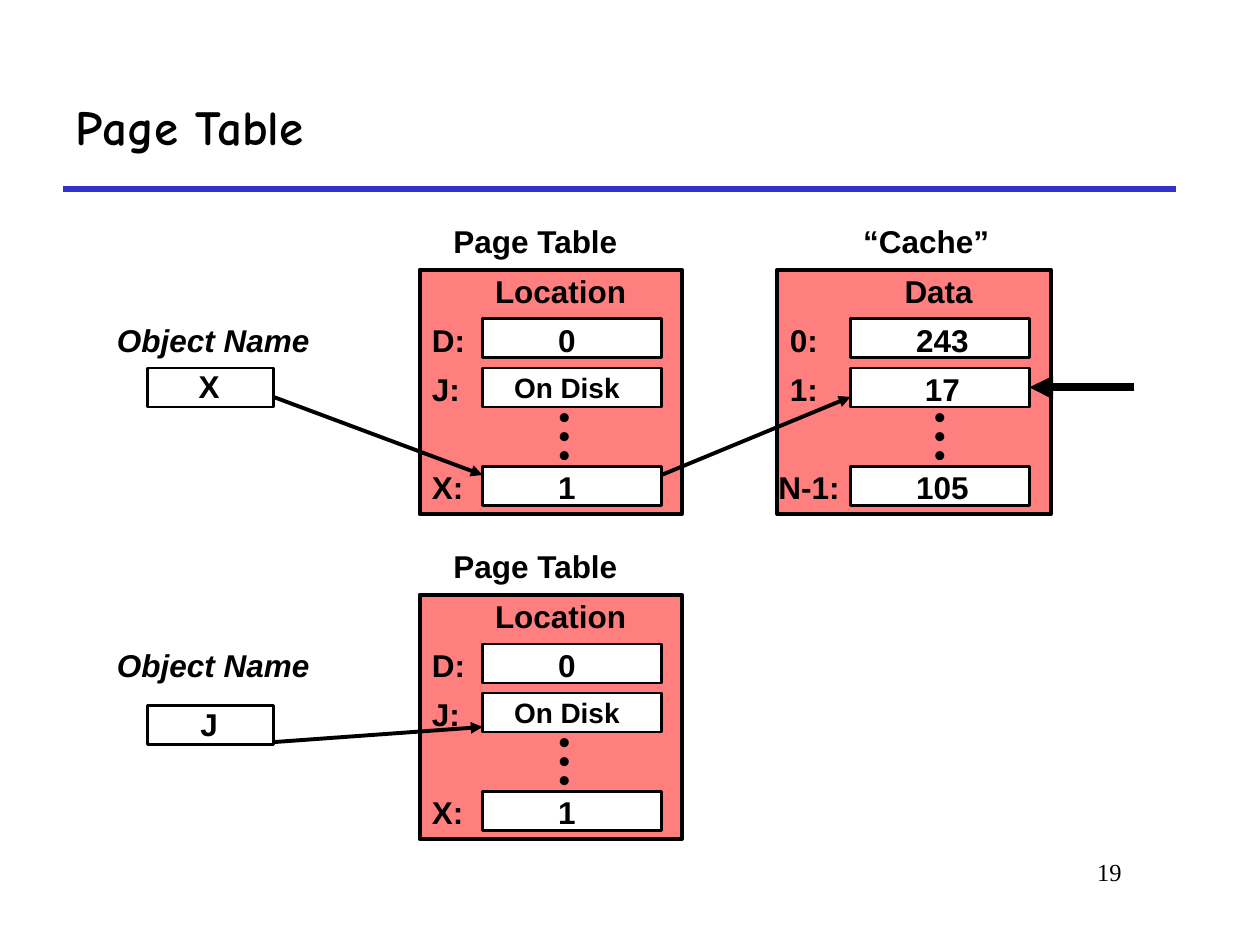
from lxml import etree
from pptx import Presentation
from pptx.dml.color import RGBColor
from pptx.enum.shapes import MSO_CONNECTOR, MSO_SHAPE
from pptx.enum.text import MSO_ANCHOR, PP_ALIGN
from pptx.oxml.ns import qn
from pptx.util import Inches, Pt

BLACK = RGBColor(0x00, 0x00, 0x00)
WHITE = RGBColor(0xFF, 0xFF, 0xFF)
RED = RGBColor(0xFF, 0x00, 0x00)
BLUE = RGBColor(0x33, 0x33, 0xCC)
LEFT, CENTER, RIGHT = PP_ALIGN.LEFT, PP_ALIGN.CENTER, PP_ALIGN.RIGHT
MIDDLE = MSO_ANCHOR.MIDDLE
RECTANGLE = MSO_SHAPE.RECTANGLE
STRAIGHT = MSO_CONNECTOR.STRAIGHT
RIGHT_SIDE = 3

ROW_PITCH = 0.39
ROWS = (1, 2, 4)  # the dots stand in row 3
TABLE_H = 1.94
CELL_W, CELL_H = 1.42, 0.31
TEXT_H = 0.37
LABEL_W = 0.5


def add_text(s, x, y, w, h, text, size=18, font="Arial", align=LEFT,
             bold=True, italic=False, spacing=0.9):
    tb = s.shapes.add_textbox(Inches(x), Inches(y), Inches(w), Inches(h))
    tf = tb.text_frame
    tf.word_wrap = True
    tf.text = text
    for p in tf.paragraphs:
        p.alignment = align
        p.line_spacing = spacing
        for r in p.runs:
            r.font.name = font
            r.font.size = Pt(size)
            r.font.bold = bold
            r.font.italic = italic
            r.font.color.rgb = BLACK
    return tf


def add_centered(s, center, y, w, text, size=18):
    add_text(s, center - w / 2, y, w, TEXT_H, text, size, align=CENTER)


def add_rect(s, x, y, w, h, fill=None, line=1.5, alpha=None):
    sp = s.shapes.add_shape(RECTANGLE, Inches(x), Inches(y), Inches(w), Inches(h))
    sp.shadow.inherit = False
    sp.line.color.rgb = BLACK
    sp.line.width = Pt(line)
    if fill is None:
        sp.fill.background()
        return sp
    sp.fill.solid()
    sp.fill.fore_color.rgb = fill
    if alpha is not None:
        color = sp._element.spPr.find(qn("a:solidFill"))[0]
        etree.SubElement(color, qn("a:alpha"), val=str(alpha * 1000))
    return sp


def add_line(s, start, end, width, color=BLACK, arrow=True):
    points = [Inches(v) for v in (*start, *end)]
    cxn = s.shapes.add_connector(STRAIGHT, *points)
    cxn.line.color.rgb = color
    cxn.line.width = Pt(width)
    if arrow:
        line = cxn._element.spPr.find(qn("a:ln"))
        etree.SubElement(line, qn("a:tailEnd"), type="triangle")
    etree.SubElement(cxn._element.spPr, qn("a:effectLst"))
    return cxn


def add_header(s, x, y, w, h):
    # Title with the rule below it
    add_line(s, (x, y + h), (x + w, y + h), 3, BLUE, arrow=False)
    tf = add_text(s, x, y, w, h, "Page Table", 28, "Comic Neue", spacing=1)
    tf.vertical_anchor = MIDDLE


def add_memory_table(s, x, y, w, cell_x, value_center, labels, values):
    """Draw a red table; return its white cells from top to bottom."""
    add_rect(s, x, y, w, TABLE_H, RED, 2.25, alpha=50)
    cells = []
    for row, (label, label_x, label_w), (value, value_w, size) in zip(ROWS, labels, values):
        row_y = y + row * ROW_PITCH
        cells.append(add_rect(s, cell_x, row_y, CELL_W, CELL_H, WHITE))
        add_centered(s, value_center, row_y, value_w, value, size)
        add_text(s, label_x, row_y, label_w, TEXT_H, label)
    # Rows left out
    add_text(s, value_center - 0.19, y + 1.09, 0.34, 0.55, "•\n•\n•",
             align=CENTER, spacing=0.5)
    return cells


def add_page_table(s, x, y):
    add_centered(s, x + 0.92, y - ROW_PITCH, 1.6, "Page Table")
    labels = [(label, x, LABEL_W) for label in ("D:", "J:", "X:")]
    values = [("0", 0.36, 18), ("On Disk", 1.1, 16), ("1", 0.36, 18)]
    add_memory_table(s, x, y, 2.08, x + 0.5, x + 1.17, labels, values)
    add_centered(s, x + 1.12, y, 1.3, "Location")


def add_cache(s, x, y):
    add_centered(s, x + 1.18, y - ROW_PITCH, 1.3, "“Cache”")
    labels = [("0:", x, LABEL_W), ("1:", x, LABEL_W), ("N-1:", x - 0.09, 0.75)]
    values = [(value, 0.66, 18) for value in ("243", "17", "105")]
    cells = add_memory_table(s, x, y, 2.17, x + 0.58, x + 1.31, labels, values)
    add_centered(s, x + 1.28, y, 0.8, "Data")
    return cells


def add_object_name(s, x, label_y, box_y, name):
    add_text(s, x, label_y, 1.8, TEXT_H, "Object Name", italic=True)
    add_rect(s, x + 0.34, box_y, 1, CELL_H)
    add_centered(s, x + 0.83, box_y - 0.02, 0.4, name)


def main():
    prs = Presentation()
    prs.slide_width, prs.slide_height = Inches(10), Inches(7.5)
    s = prs.slides.add_slide(prs.slide_layouts[6])

    add_header(s, 0.5, 0.5, 8.83, 1)
    add_text(s, 7.58, 6.75, 1.42, 0.5, "19", 14, "Times New Roman", RIGHT,
             bold=False, spacing=1)

    # Lookup of X: found in the cache
    cache_cells = add_cache(s, 6.17, 2.14)
    add_object_name(s, 0.83, 2.53, 2.92, "X")
    add_page_table(s, 3.33, 2.14)
    add_line(s, (2.17, 3.15), (3.83, 3.77), 2.25)
    add_line(s, (5.25, 3.77), (6.75, 3.15), 2.25)
    hit_y = 2.92 + CELL_H / 2
    hit = add_line(s, (9, hit_y), (8.17, hit_y), 4.5)
    hit.end_connect(cache_cells[1], RIGHT_SIDE)

    # Lookup of J: on disk
    add_object_name(s, 0.83, 5.11, 5.6, "J")
    add_page_table(s, 3.33, 4.72)
    add_line(s, (2.17, 5.89), (3.83, 5.77), 2.25)

    prs.save("out.pptx")


if __name__ == "__main__":
    main()
